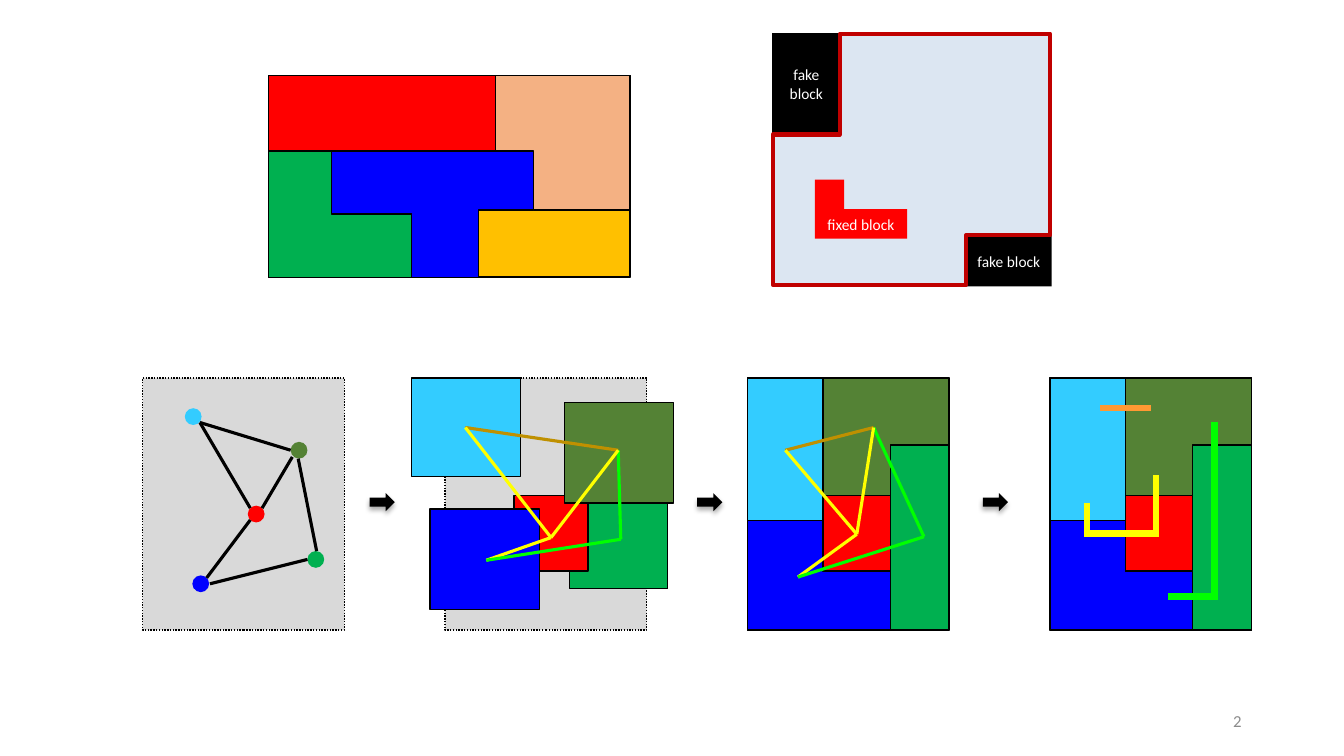
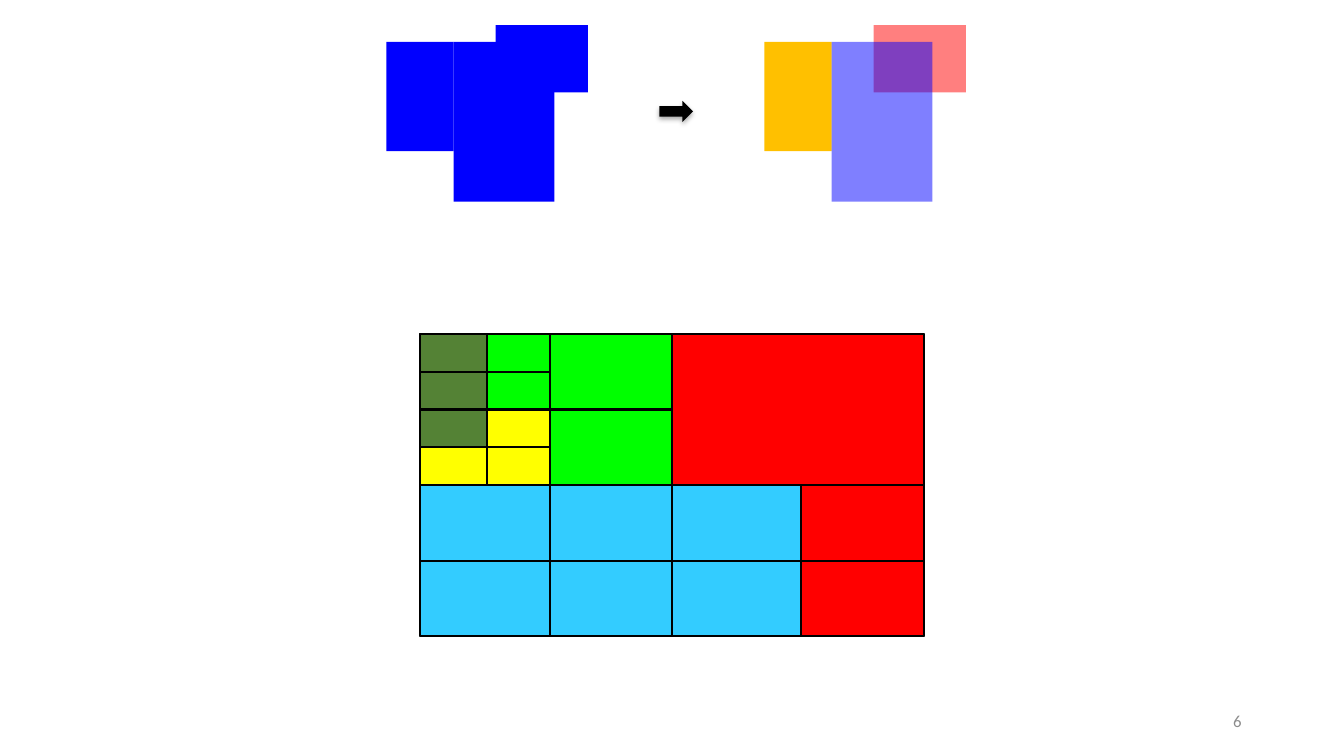
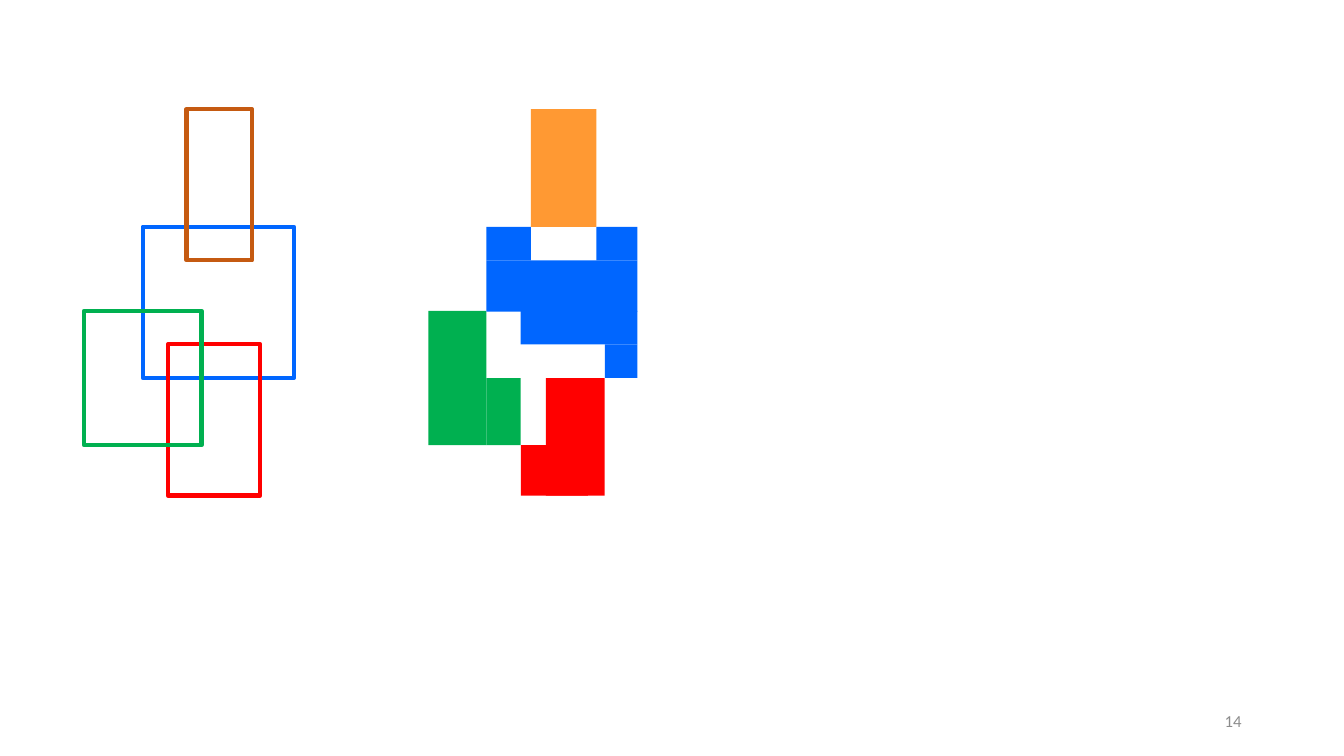
"""Draws three slides of block floorplans on a grid of 160 columns by 90 rows."""
from dataclasses import dataclass
from typing import Any, NamedTuple, Optional

from lxml.etree import SubElement
from pptx import Presentation
from pptx.dml.color import RGBColor
from pptx.enum.dml import MSO_LINE
from pptx.enum.shapes import MSO_CONNECTOR, MSO_SHAPE
from pptx.enum.text import MSO_ANCHOR, PP_ALIGN
from pptx.oxml.ns import qn
from pptx.util import Emu, Inches, Pt

CELL = Inches(1) // 12
COLS, ROWS = 160, 90


@dataclass(frozen=True)
class Theme:
    font: str = "Calibri"
    small: float = 11
    foot: float = 12
    thin: float = 1
    mid: float = 1.5
    link: float = 2.25
    bold: float = 3
    track: float = 4.5
    black: str = "000000"
    white: str = "FFFFFF"
    grey: str = "8C8C8C"
    pale: str = "D9D9D9"
    ice: str = "DCE6F2"
    red: str = "FF0000"
    wine: str = "C00000"
    peach: str = "F4B183"
    rust: str = "C55A11"
    orange: str = "FF9933"
    amber: str = "FFC000"
    gold: str = "BF9000"
    yellow: str = "FFFF00"
    lime: str = "00FF00"
    green: str = "00B050"
    moss: str = "548235"
    sky: str = "33CCFF"
    azure: str = "0066FF"
    blue: str = "0000FF"


T = Theme()
Point = tuple[float, float]


@dataclass(frozen=True)
class Block:
    x: float
    y: float
    w: float
    h: float
    fill: Optional[str] = None
    line: Optional[str] = None
    width: float = T.thin
    kind: Any = MSO_SHAPE.RECTANGLE
    bends: tuple[float, ...] = ()
    turn: float = 0
    dots: bool = False
    clear: int = 0
    text: str = ""


class Wire(NamedTuple):
    start: Point
    end: Point
    color: str = T.black
    width: float = T.link


def cells(n: float) -> Emu:
    return Emu(round(n * CELL))


def write(shape: Any, text: str, *, size: float = T.small, color: str = T.white,
          align: Any = PP_ALIGN.CENTER) -> None:
    frame = shape.text_frame
    frame.word_wrap = True
    frame.vertical_anchor = MSO_ANCHOR.MIDDLE
    para = frame.paragraphs[0]
    para.alignment = align
    run = para.add_run()
    run.text = text
    run.font.name = T.font
    run.font.size = Pt(size)
    run.font.color.rgb = RGBColor.from_string(color)


def paint(shape: Any, fill: Optional[str], line: Optional[str], width: float) -> None:
    shape.shadow.inherit = False
    if fill:
        shape.fill.solid()
        shape.fill.fore_color.rgb = RGBColor.from_string(fill)
    else:
        shape.fill.background()
    if line:
        shape.line.color.rgb = RGBColor.from_string(line)
        shape.line.width = Pt(width)
    else:
        shape.line.fill.background()


def fade(color: Any, share: int) -> None:
    SubElement(color, qn("a:alpha")).set("val", str(share * 1000))


def draw(board: Any, block: Block) -> Any:
    shape = board.add_shape(block.kind, *map(cells, (block.x, block.y, block.w, block.h)))
    paint(shape, block.fill, block.line, block.width)
    shape.rotation = block.turn
    for i, bend in enumerate(block.bends):
        shape.adjustments[i] = bend
    if block.dots:
        shape.line.dash_style = MSO_LINE.ROUND_DOT
    if block.clear:
        fade(shape.element.spPr.find(qn("a:solidFill"))[0], block.clear)
    if block.text:
        write(shape, block.text)
    return shape


def trace(board: Any, points: list[Point], fill: str, line: str, width: float) -> None:
    path = [(cells(x), cells(y)) for x, y in points]
    maker = board.build_freeform(*path[0])
    maker.add_line_segments(path[1:], close=True)
    paint(maker.convert_to_shape(), fill, line, width)


def point_to(board: Any, x: float, y: float, w: float = 3, h: float = 2.16) -> None:
    arrow = draw(board, Block(x, y, w, h, T.black, kind=MSO_SHAPE.RIGHT_ARROW))
    shade = SubElement(arrow.element.spPr.find(qn("a:effectLst")), qn("a:outerShdw"))
    for key, val in {"blurRad": Pt(3.5), "dist": Pt(2.2), "dir": 90 * 60000, "rotWithShape": 0}.items():
        shade.set(key, str(int(val)))
    color = SubElement(shade, qn("a:srgbClr"))
    color.set("val", T.black)
    fade(color, 32)


def find_site(hosts: list[Any], x: int, y: int) -> Optional[tuple[Any, int]]:
    for host in hosts:
        left, top = host.left, host.top
        right, base = left + host.width, top + host.height
        sites = (((left + right) / 2, top), (left, (top + base) / 2),
                 ((left + right) / 2, base), (right, (top + base) / 2))
        for i, (a, b) in enumerate(sites):
            if max(abs(a - x), abs(b - y)) < CELL / 10:
                return host, i
    return None


def join(board: Any, wire: Wire, hosts: list[Any]) -> None:
    ends = [cells(n) for n in (*wire.start, *wire.end)]
    link = board.add_connector(MSO_CONNECTOR.STRAIGHT, *ends)
    link.line.color.rgb = RGBColor.from_string(wire.color)
    link.line.width = Pt(wire.width)
    SubElement(link.element.spPr, qn("a:effectLst"))
    for hook, spot in ((link.begin_connect, ends[:2]), (link.end_connect, ends[2:])):
        site = find_site(hosts, *spot)
        if site:
            hook(*site)


def fill_board(slide: Any, blocks: list[Block], wires: list[Wire] = []) -> Any:
    board = slide.shapes.add_group_shape().shapes
    hosts = [draw(board, block) for block in blocks]
    for wire in wires:
        join(board, wire, hosts)
    return board


def add_page(deck: Any, number: int) -> Any:
    slide = deck.slides.add_slide(deck.slide_layouts[6])
    foot = slide.shapes.add_textbox(*map(cells, (113, 83.4, 36, 4.8)))
    write(foot, str(number), size=T.foot, color=T.grey, align=PP_ALIGN.RIGHT)
    return slide


def edged(x: float, y: float, w: float, h: float, fill: Optional[str], **extra: Any) -> Block:
    return Block(x, y, w, h, fill, T.black, **extra)


def pack(x: float) -> list[Block]:
    corner = MSO_SHAPE.CORNER
    return [edged(x, 45, 24, 30, None),
            edged(x, 62, 17, 13, T.blue, kind=corner, bends=(0.54, 0.69)),
            edged(x + 17, 53, 7, 22, T.green),
            edged(x, 45, 9, 17, T.sky),
            edged(x + 9.5, 44.5, 14, 15, T.moss, kind=corner, bends=(0.57, 0.57), turn=90),
            edged(x + 9, 59, 8, 9, T.red)]


def net(sky: Point, moss: Point, red: Point, green: Point, blue: Point) -> list[Wire]:
    return [Wire(sky, moss, T.gold), Wire(sky, red, T.yellow), Wire(moss, green, T.lime),
            Wire(red, blue, T.yellow), Wire(green, blue, T.lime), Wire(moss, red, T.yellow)]


def draw_shapes(slide: Any) -> None:
    corner = MSO_SHAPE.CORNER
    board = fill_board(slide, [
        edged(32, 9, 43, 24, None),
        edged(32, 18, 17, 15, T.green, kind=corner),
        edged(32, 9, 27, 9, T.red)])
    trace(board, [(39.5, 18), (63.5, 18), (63.5, 25.3), (57.1, 25.3), (57.1, 33),
                  (49, 33), (49, 25.4), (39.5, 25.4)], T.blue, T.black, T.thin)
    draw(board, edged(57, 25, 18, 8, T.amber))
    draw(board, edged(59, 9, 16, 16, T.peach, kind=corner, bends=(0.56, 0.72), turn=180))

    board = fill_board(slide, [
        Block(115, 28, 10.2, 6.1, T.black, text="fake block"),
        edged(92, 4, 8, 12, T.black, text="fake block")])
    trace(board, [(100, 4), (100, 16), (92, 16), (92, 33.9), (115, 33.9), (115, 28),
                  (125, 28), (125, 4)], T.ice, T.wine, T.bold)
    draw(board, Block(97, 21.4, 11, 7, T.red, kind=corner, text="fixed block"))


def draw_flow(slide: Any) -> None:
    dots = [(22, 48.6, T.sky), (22.9, 68.5, T.blue), (34.6, 52.6, T.moss),
            (29.5, 60.2, T.red), (36.6, 65.6, T.green)]
    graph = [edged(17, 45, 24, 30, T.pale, dots=True)]
    graph += [Block(x, y, 2, 2, color, kind=MSO_SHAPE.OVAL) for x, y, color in dots]
    edges = [((23.8, 50.3), (29.8, 60.5)), ((23.8, 50.3), (34.6, 53.6)),
             ((34.8, 54.4), (31.2, 60.5)), ((35.5, 54.6), (37.7, 65.6)),
             ((29.8, 61.9), (24.6, 68.8)), ((25, 69.5), (36.6, 66.6))]
    loose = [edged(53, 45, 24, 30, T.pale, dots=True),
             edged(67.8, 59, 11.7, 11.1, T.green),
             edged(49, 45, 13, 11.7, T.sky),
             edged(61.2, 59, 8.8, 9, T.red),
             edged(51.2, 60.6, 13, 12, T.blue),
             edged(67.2, 47.9, 13, 12, T.moss)]
    drift = net((55.4, 50.9), (73.6, 53.6), (65.6, 64), (73.9, 64.2), (57.9, 66.7))
    tight = net((93.5, 53.6), (104, 50.9), (102, 63.6), (110, 63.9), (95, 68.7))
    routes = [((131, 48.6), (137, 48.6), T.orange), ((137.6, 56.6), (137.6, 63.7), T.yellow),
              ((144.6, 50.3), (144.6, 71), T.lime), ((138, 63.5), (129, 63.5), T.yellow),
              ((145, 71), (139, 71), T.lime), ((129.4, 59.9), (129.4, 63.7), T.yellow)]
    tracks = [Wire(*route, T.track) for route in routes]
    board = fill_board(slide, graph + loose + pack(89) + pack(125),
                       [Wire(*edge) for edge in edges] + drift + tight + tracks)
    for x in (44, 83, 117):
        point_to(board, x, 58.7)


def draw_split(slide: Any) -> None:
    parts = [(46, 5, 8, 13, T.amber, 0), (59, 3, 11, 8, T.red, 50), (54, 5, 12, 19, T.blue, 50)]
    board = fill_board(slide, [Block(*part[:4], T.blue) for part in parts] + [
        Block(x + 45, y, w, h, color, clear=clear) for x, y, w, h, color, clear in parts])
    point_to(board, 78.5, 12, 4, 2.5)


def draw_tiles(slide: Any) -> None:
    xs = (50, 58, 65.5, 80, 95.4, 110)
    ys = [39.75 + 4.5 * n for n in range(9)]
    tiles = [(0, 0, 1, 3, T.moss), (0, 3, 1, 4, T.yellow), (1, 2, 2, 4, T.yellow),
             (1, 0, 2, 2, T.lime), (2, 0, 3, 4, T.lime), (0, 4, 4, 8, T.sky),
             (4, 4, 5, 8, T.red), (3, 0, 5, 4, T.red), (0, 0, 5, 8, None)]
    rules = [(3, 0, 3, 8), (0, 4, 5, 4), (2, 0, 2, 4), (3, 2, 0, 2), (2, 4, 2, 8), (3, 6, 0, 6),
             (4, 4, 4, 8), (5, 6, 3, 6), (1, 0, 1, 4), (2, 3, 0, 3), (2, 1, 0, 1)]
    fill_board(slide,
               [edged(xs[a], ys[b], xs[c] - xs[a], ys[d] - ys[b], color, width=T.mid)
                for a, b, c, d, color in tiles],
               [Wire((xs[a], ys[b]), (xs[c], ys[d]), width=T.mid) for a, b, c, d in rules])


def draw_cuts(slide: Any) -> None:
    frames = [(17, 27, 18, 18, T.azure), (20, 41, 11, 18, T.red),
              (10, 37, 14, 16, T.green), (22.2, 13, 7.8, 18, T.rust)]
    pieces = [(65, 45, 7, 14, T.red), (51, 37, 6.9, 16, T.green), (63.2, 13, 7.8, 14, T.orange),
              (62, 53, 8, 6, T.red), (57.9, 45, 4.1, 8, T.green), (57.9, 31, 18, 6.1, T.azure),
              (57.9, 27, 5.3, 4, T.azure), (71, 27, 4.9, 4, T.azure),
              (62, 37, 13.9, 4, T.azure), (72, 41, 3.9, 4, T.azure)]
    for *place, color in frames:
        draw(slide.shapes, Block(*place, line=color, width=T.bold))
    for piece in pieces:
        draw(slide.shapes, Block(*piece))


def main() -> None:
    deck = Presentation()
    deck.slide_width, deck.slide_height = cells(COLS), cells(ROWS)
    pages = {2: (draw_shapes, draw_flow), 6: (draw_split, draw_tiles), 14: (draw_cuts,)}
    for number, parts in pages.items():
        slide = add_page(deck, number)
        for part in parts:
            part(slide)
    deck.save("out.pptx")


if __name__ == "__main__":
    main()
